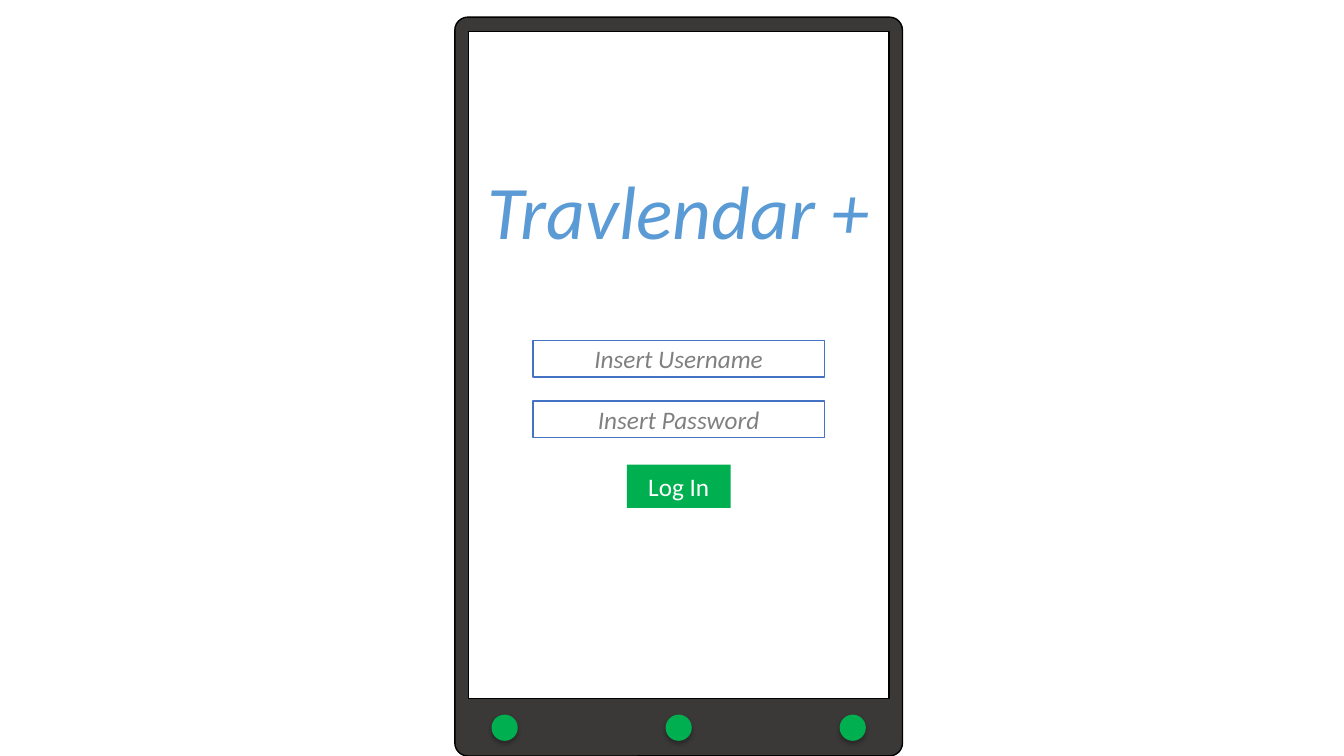
from dataclasses import dataclass

from lxml import etree
from pptx import Presentation
from pptx import util as u
from pptx.dml.color import RGBColor
from pptx.enum import shapes, text
from pptx.oxml import ns

SLIDE_W, SLIDE_H = u.Inches(13.33), u.Inches(7.5)
FONT = "Calibri"
GREEN, WHITE, BLACK = "00B050", "FFFFFF", "000000"
CENTER = 50.5  # phone axis, percent of slide width
KIND = shapes.MSO_SHAPE


@dataclass(frozen=True)
class Box:
    """Shape centred on the phone axis; lengths are percent of slide size."""
    top: float
    width: float
    height: float
    fill: str
    line: str = ""
    kind: int = KIND.RECTANGLE
    offset: float = 0
    label: str = ""
    color: str = WHITE
    italic: bool = False


BODY = Box(2.27, 33.31, 97.73, "3B3838", BLACK, KIND.ROUNDED_RECTANGLE)
SCREEN = Box(4.13, 31.28, 88.27, WHITE, BLACK)
BUTTONS = [Box(94.53, 1.95, 3.47, GREEN, kind=KIND.OVAL, offset=12.95 * side)
           for side in (0, 1, -1)]
FIELDS = [Box(45.07 + 8 * row, 21.68, 4.8, WHITE, "4472C4",
              label=label, color="808080", italic=True)
          for row, label in enumerate(("Insert Username", "Insert Password"))]
LOG_IN = Box(61.47, 7.73, 5.73, GREEN, label="Log In")
TITLE = Box(21.07, 30.23, 13.47, WHITE)
TITLE_STOPS = ((0, "1F4E79"), (50, "5B9BD5"), (100, "9DC3E6"))


def rgb(value: str) -> RGBColor:
    return RGBColor.from_string(value)


def frame(box: Box) -> tuple[int, int, int, int]:
    left = CENTER + box.offset - box.width / 2
    return (round(SLIDE_W * left / 100), round(SLIDE_H * box.top / 100),
            round(SLIDE_W * box.width / 100), round(SLIDE_H * box.height / 100))


def add_child(parent, tag: str, **attributes):
    child = etree.SubElement(parent, ns.qn(tag))
    for name, value in attributes.items():
        child.set(name, str(value))
    return child


def write(tf, content: str, size: float = 18, color: str = WHITE,
          italic: bool = False, anchor=text.MSO_ANCHOR.MIDDLE):
    tf.vertical_anchor = anchor
    p = tf.paragraphs[0]
    p.alignment = text.PP_ALIGN.CENTER
    r = p.add_run()
    r.text = content
    r.font.name, r.font.size, r.font.italic = FONT, u.Pt(size), italic
    r.font.color.rgb = rgb(color)
    return r


def draw(parent, box: Box):
    sp = parent.add_shape(box.kind, *frame(box))
    sp.shadow.inherit = False
    sp.fill.solid()
    sp.fill.fore_color.rgb = rgb(box.fill)
    if box.line:
        sp.line.color.rgb = rgb(box.line)
        sp.line.width = u.Pt(1)
    else:
        sp.line.fill.background()
    if box.label:
        write(sp.text_frame, box.label, color=box.color, italic=box.italic)
    return sp


def cast_shadow(sp) -> None:
    effects = sp.element.spPr.find(ns.qn("a:effectLst"))
    shadow = add_child(effects, "a:outerShdw", blurRad=u.Pt(3.5), dist=u.Pt(2.2),
                       dir=90 * 60000, algn="ctr", rotWithShape=0)
    color = add_child(shadow, "a:srgbClr", val=BLACK)
    add_child(color, "a:alpha", val=32000)


def apply_gradient(r) -> None:
    """Replace the run's solid colour with the vertical title gradient."""
    rPr = r.font.fill and r._r.get_or_add_rPr()
    solid = rPr.find(ns.qn("a:solidFill"))
    gradient = etree.Element(ns.qn("a:gradFill"))
    stops = add_child(gradient, "a:gsLst")
    for percent, color in TITLE_STOPS:
        stop = add_child(stops, "a:gs", pos=percent * 1000)
        add_child(stop, "a:srgbClr", val=color)
    add_child(gradient, "a:lin", ang=90 * 60000, scaled=0)
    rPr.replace(solid, gradient)


def draw_title(s) -> None:
    title = s.shapes.title
    title.left, title.top, title.width, title.height = frame(TITLE)
    tf = title.text_frame
    tf.word_wrap = False
    tf.auto_size = text.MSO_AUTO_SIZE.SHAPE_TO_FIT_TEXT
    apply_gradient(write(tf, "Travlendar +", size=54, italic=True,
                         anchor=text.MSO_ANCHOR.TOP))
    title.element.getparent().append(title.element)  # in front of the phone


def main() -> None:
    prs = Presentation()
    prs.slide_width, prs.slide_height = SLIDE_W, SLIDE_H
    s = prs.slides.add_slide(prs.slide_layouts[5])

    phone = s.shapes.add_group_shape().shapes
    body = draw(phone, BODY)
    body.adjustments[0] = 0.029
    draw(phone, SCREEN)
    for button in BUTTONS:
        cast_shadow(draw(phone, button))

    draw_title(s)

    form = s.shapes.add_group_shape().shapes
    for field in FIELDS:
        draw(form, field)
    draw(s.shapes, LOG_IN)

    prs.save("out.pptx")


if __name__ == "__main__":
    main()
